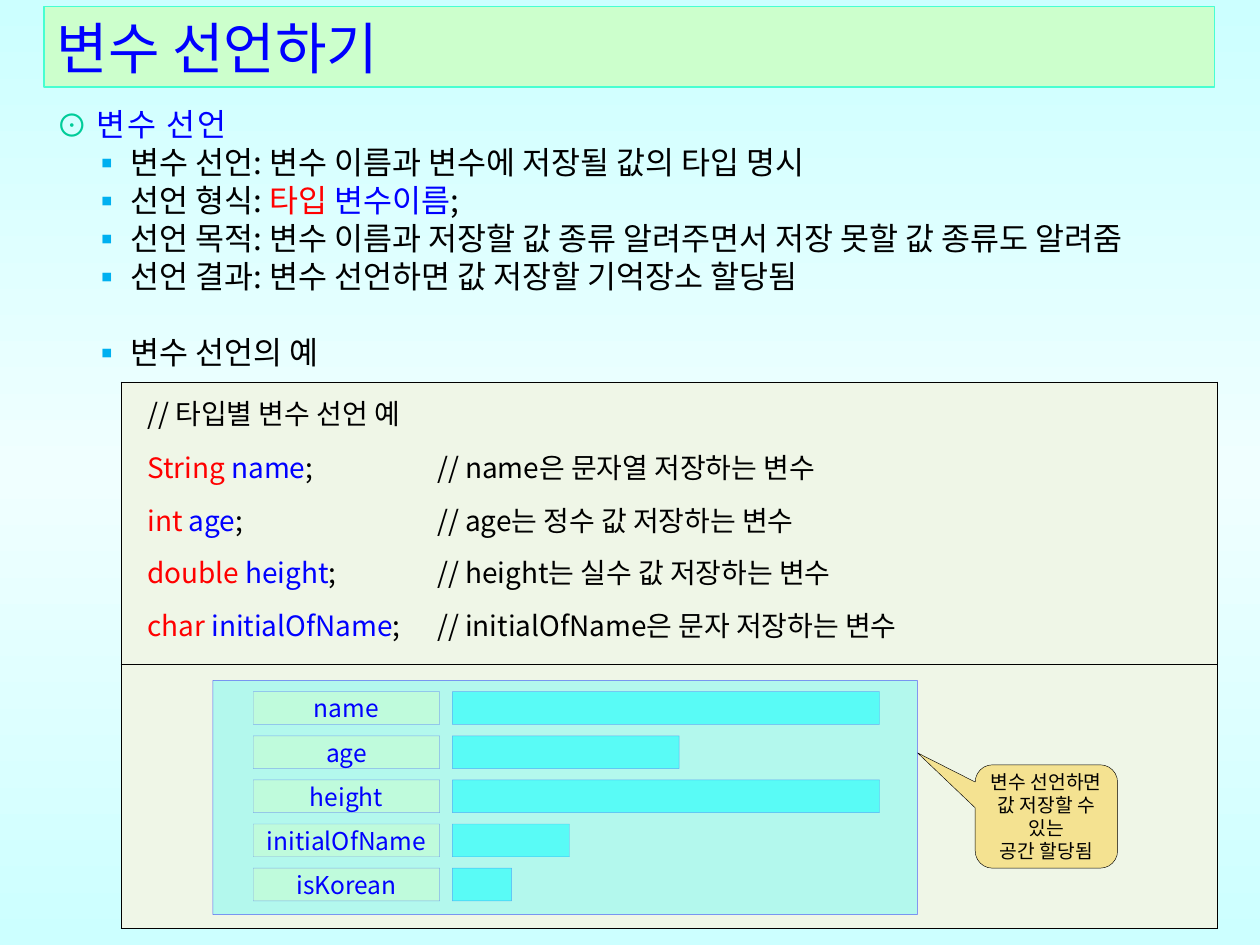
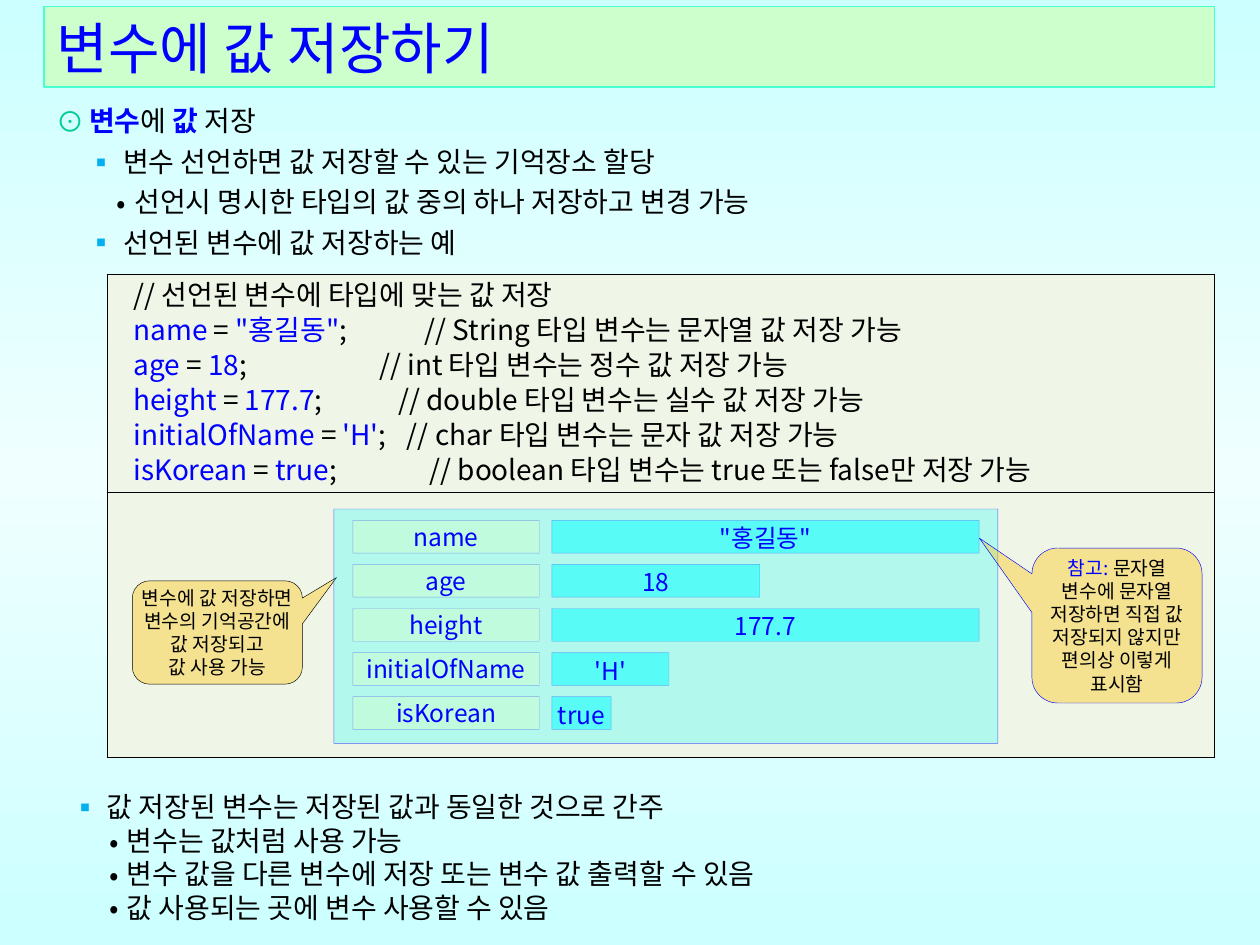
"""Build two lecture slides on declaring variables and storing values in them."""
import dataclasses
import typing

import lxml.etree
import pptx
import pptx.dml.color
import pptx.enum.shapes
import pptx.enum.text
import pptx.oxml.ns
import pptx.util

Inches = pptx.util.Inches
Pt = pptx.util.Pt
RGB = pptx.dml.color.RGBColor.from_string
qn = pptx.oxml.ns.qn
SHAPE = pptx.enum.shapes.MSO_SHAPE
ALIGN = pptx.enum.text.PP_ALIGN
ANCHOR = pptx.enum.text.MSO_ANCHOR


@dataclasses.dataclass(frozen=True)
class Theme:
    """Colours, font and type sizes of the deck."""
    font: str = "Noto Sans CJK KR"
    ink: str = "000000"
    blue: str = "0000FF"
    red: str = "FF0000"
    ring: str = "00CC99"
    square: str = "00B0F0"
    band: str = "CCFFCC"
    band_line: str = "47FFD1"
    sky: str = "CCFFFF"
    sky_mid: str = "F0FFFF"
    paper: str = "EFF6E7"
    memory: str = "00FFFF"
    note: str = "FFC000"
    title: float = 32
    lead: float = 18
    body: float = 16
    label: float = 14
    small: float = 11


T = Theme()


class Run(typing.NamedTuple):
    """A stretch of text in one colour."""
    text: str
    color: str = T.ink
    bold: bool = False
    spacing: int = 0


class Bullet(typing.NamedTuple):
    """A bullet sign, where it starts and where its text starts, in inches."""
    char: str
    color: str
    start: float
    text: float


@dataclasses.dataclass
class Para:
    """A paragraph with its optional bullet, tab stop and space above."""
    runs: typing.List[Run]
    bullet: typing.Optional[Bullet] = None
    tab: float = 0
    before: float = 0


@dataclasses.dataclass
class Style:
    """The look shared by all paragraphs of one text frame."""
    size: float
    align: typing.Any = ALIGN.LEFT
    leading: typing.Optional[float] = None


class Box(typing.NamedTuple):
    """A place on the slide, in inches."""
    left: float
    top: float
    width: float
    height: float


class Variable(typing.NamedTuple):
    """A variable name with the width and content of its memory cell."""
    name: str
    width: float
    value: str = ""


def plain(text: str, bullet: typing.Optional[Bullet] = None, before: float = 0) -> Para:
    """Return a paragraph in the ink colour."""
    return Para([Run(text)], bullet, before=before)


def sub(parent: typing.Any, tag: str, **attrs: str) -> typing.Any:
    """Append a child element and return it."""
    return lxml.etree.SubElement(parent, qn(tag), attrs)


def write(tf: typing.Any, paras: typing.List[Para], style: Style) -> None:
    """Fill a text frame with formatted paragraphs."""
    for i, para in enumerate(paras):
        p = tf.paragraphs[0] if i == 0 else tf.add_paragraph()
        p.alignment = style.align
        if style.leading:
            p.line_spacing = Pt(style.leading)
        if para.before:
            p.space_before = Pt(para.before)
        pPr = p._p.get_or_add_pPr()
        if para.bullet:
            b = para.bullet
            pPr.set("marL", str(Inches(b.text)))
            pPr.set("indent", str(Inches(b.start - b.text)))
            sub(sub(pPr, "a:buClr"), "a:srgbClr", val=b.color)
            sub(pPr, "a:buFont", typeface=T.font)
            sub(pPr, "a:buChar", char=b.char)
        if para.tab:
            sub(sub(pPr, "a:tabLst"), "a:tab", pos=str(Inches(para.tab)), algn="l")
        p.font.size = Pt(style.size)
        p.font.name = T.font
        sub(pPr.find(qn("a:defRPr")), "a:ea", typeface=T.font)
        for run in para.runs:
            r = p.add_run()
            r.text = run.text
            r.font.color.rgb = RGB(run.color)
            if run.bold:
                r.font.bold = True
            if run.spacing:
                r._r.get_or_add_rPr().set("spc", str(run.spacing))


def set_alpha(shape: typing.Any, where: str, percent: int) -> None:
    """Make the fill or the line of a shape partly transparent."""
    for clr in shape._element.spPr.xpath(where + "a:solidFill/a:srgbClr"):
        sub(clr, "a:alpha", val=str(percent * 1000))


def add_block(s: typing.Any, kind: typing.Any, box: Box, fill: str, opacity: int,
              line: str, line_opacity: int = 100) -> typing.Any:
    """Add a translucent shape with a hairline outline and no text margins."""
    sp = s.shapes.add_shape(kind, *map(Inches, box))
    sp.shadow.inherit = False
    sp.fill.solid()
    sp.fill.fore_color.rgb = RGB(fill)
    sp.line.color.rgb = RGB(line)
    sp.line.width = Pt(0.25)
    set_alpha(sp, "./", opacity)
    if line_opacity < 100:
        set_alpha(sp, "./a:ln/", line_opacity)
    tf = sp.text_frame
    tf.margin_left = tf.margin_right = tf.margin_top = tf.margin_bottom = 0
    tf.vertical_anchor = ANCHOR.MIDDLE
    return sp


def add_slide(prs: typing.Any, title: str) -> typing.Any:
    """Add a title-only slide with the green title band."""
    s = prs.slides.add_slide(prs.slide_layouts[5])
    sp = s.shapes.title
    sp.left, sp.top, sp.width, sp.height = map(Inches, (0.35, 0.05, 9.29, 0.64))
    sp.fill.solid()
    sp.fill.fore_color.rgb = RGB(T.band)
    sp.line.color.rgb = RGB(T.band_line)
    sp.line.width = Pt(0.75)
    tf = sp.text_frame
    tf.auto_size = pptx.enum.text.MSO_AUTO_SIZE.NONE
    tf.vertical_anchor = ANCHOR.MIDDLE
    write(tf, [Para([Run(title, T.blue)])], Style(T.title))
    return s


def add_text(s: typing.Any, box: Box, paras: typing.List[Para], style: Style) -> None:
    """Add a wrapping text box."""
    tf = s.shapes.add_textbox(*map(Inches, box)).text_frame
    tf.word_wrap = True
    write(tf, paras, style)


def add_grid(s: typing.Any, box: Box, cols: typing.List[float],
             rows: typing.List[float]) -> typing.Any:
    """Add a paper-coloured table without a built-in style."""
    tbl = s.shapes.add_table(len(rows), len(cols), *map(Inches, box)).table
    tbl.first_row = tbl.horz_banding = False
    style_id = tbl._tbl.tblPr.find(qn("a:tableStyleId"))
    style_id.text = "{2D5ABB26-0587-4C30-8999-92F81FD0307C}"
    for col, width in zip(tbl.columns, cols):
        col.width = Inches(width)
    for row, height in zip(tbl.rows, rows):
        row.height = Inches(height)
    return tbl


def frame_grid(tbl: typing.Any) -> None:
    """Fill the cells, outline the table and rule off its last row."""
    n_rows, n_cols = len(tbl.rows), len(tbl.columns)
    for i in range(n_rows):
        for j in range(n_cols):
            cell = tbl.cell(i, j)
            cell.fill.solid()
            cell.fill.fore_color.rgb = RGB(T.paper)
            last = j + (cell.span_width if cell.is_merge_origin else 1) == n_cols
            sides = {"L": j == 0, "R": last, "T": i in (0, n_rows - 1), "B": i >= n_rows - 2}
            tcPr = cell._tc.get_or_add_tcPr()
            for k, side in enumerate(side for side, on in sides.items() if on):
                ln = sub(tcPr, "a:ln" + side, w=str(Pt(0.28)))
                sub(sub(ln, "a:solidFill"), "a:srgbClr", val=T.ink)
                tcPr.insert(k, ln)


def fill_cell(cell: typing.Any, paras: typing.List[Para], leading: float,
              left: float, anchor: typing.Any, bottom: float = 0.02) -> None:
    """Write code lines into a table cell."""
    cell.margin_left, cell.margin_right = Inches(left), Inches(0.07)
    cell.margin_top, cell.margin_bottom = Inches(0.02), Inches(bottom)
    cell.vertical_anchor = anchor
    write(cell.text_frame, paras, Style(T.body, leading=leading))


def add_memory(s: typing.Any, panel: Box, label_left: float,
               variables: typing.List[Variable]) -> None:
    """Draw the memory panel with one label and one cell per variable."""
    def part(box: Box, fill: str, opacity: int, line_opacity: int, text: str = "") -> typing.Any:
        sp = add_block(s, SHAPE.ROUNDED_RECTANGLE, box, fill, opacity, T.blue, line_opacity)
        sp.adjustments[0] = 0
        if text:
            sp.text_frame.word_wrap = False
            write(sp.text_frame, [Para([Run(text, T.blue)])], Style(T.label, ALIGN.CENTER))
        return sp

    part(panel, T.memory, 25, 60)
    for i, var in enumerate(variables):
        top = panel.top + 0.09 + 0.35 * i
        part(Box(label_left, top, 1.48, 0.26), T.band, 50, 30, var.name)
        cell = part(Box(label_left + 1.58, top, var.width, 0.26), T.memory, 50, 30, var.value)
        cell.text_frame.margin_top = Inches(0.02)


def add_callout(s: typing.Any, box: Box, tip: typing.Tuple[float, float],
                paras: typing.List[Para], line: str = T.ink) -> None:
    """Add a speech balloon whose tip is given relative to its centre."""
    sp = add_block(s, SHAPE.ROUNDED_RECTANGULAR_CALLOUT, box, T.note, 37, line)
    sp.adjustments[0], sp.adjustments[1] = tip
    sp.text_frame.word_wrap = True
    write(sp.text_frame, paras, Style(T.small, ALIGN.CENTER, 13.2))


def paint_background(prs: typing.Any) -> None:
    """Give the slide master its vertical sky gradient."""
    master = prs.slide_master
    fill = master.background.fill
    fill.gradient()
    fill.gradient_angle = 270
    stops = master._element.xpath(".//p:bg//a:gsLst")[0]
    for gs in list(stops):
        stops.remove(gs)
    for pos, color in ((0, T.sky), (50, T.sky_mid), (100, T.sky)):
        sub(sub(stops, "a:gs", pos=str(pos * 1000)), "a:srgbClr", val=color)


def declare_slide(prs: typing.Any) -> None:
    """Build the slide on declaring variables."""
    s = add_slide(prs, "변수 선언하기")
    ring = Bullet("⊙", T.ring, 0, 0.32)
    square = Bullet("▪", T.square, 0.28, 0.59)
    add_text(s, Box(0.35, 0.78, 9.53, 2.2), [
        Para([Run("변수 선언", T.blue, spacing=100)], ring),
        plain("변수 선언: 변수 이름과 변수에 저장될 값의 타입 명시", square),
        Para([Run("선언 형식: "), Run("타입 ", T.red), Run("변수이름", T.blue), Run(";")], square),
        plain("선언 목적: 변수 이름과 저장할 값 종류 알려주면서 저장 못할 값 종류도 알려줌", square),
        plain("선언 결과: 변수 선언하면 값 저장할 기억장소 할당됨", square),
        plain("변수 선언의 예", square, before=21.7),
    ], Style(T.lead, leading=21.7))

    declarations = [("String", "name", "은 문자열"), ("int", "age", "는 정수 값"),
                    ("double", "height", "는 실수 값"), ("char", "initialOfName", "은 문자")]
    code = [Para([Run(kind + " ", T.red), Run(name, T.blue), Run(";")])
            for kind, name, _ in declarations]
    remarks = [plain(f"// {name}{what} 저장하는 변수") for _, name, what in declarations]
    tbl = add_grid(s, Box(0.96, 3.03, 8.7, 4.34), [2.44, 6.26], [0.4, 1.84, 2.1])
    for i in (0, 2):
        tbl.cell(i, 0).merge(tbl.cell(i, 1))
    fill_cell(tbl.cell(0, 0), [plain("// 타입별 변수 선언 예")], 20, 0.21, ANCHOR.BOTTOM, 0)
    fill_cell(tbl.cell(1, 0), code, 29.9, 0.21, ANCHOR.TOP)
    fill_cell(tbl.cell(1, 1), remarks, 29.9, 0.07, ANCHOR.TOP)
    frame_grid(tbl)

    add_callout(s, Box(7.74, 6.07, 1.13, 0.82), (-0.905, -0.616), [
        plain(line) for line in ("변수 선언하면", "값 저장할 수", "있는", "공간 할당됨")])
    add_memory(s, Box(1.69, 5.4, 5.59, 1.86), 2.01, [
        Variable("name", 3.39), Variable("age", 1.8), Variable("height", 3.39),
        Variable("initialOfName", 0.93), Variable("isKorean", 0.47)])


def store_slide(prs: typing.Any) -> None:
    """Build the slide on storing values in variables."""
    s = add_slide(prs, "변수에 값 저장하기")
    ring = Bullet("⊙", T.ring, 0, 0.26)
    square = Bullet("▪", T.square, 0.25, 0.53)
    add_text(s, Box(0.35, 0.72, 9.53, 1.39), [
        Para([Run("변수", T.blue, True), Run("에 "), Run("값", T.blue, True), Run(" 저장")], ring),
        plain("변수 선언하면 값 저장할 수 있는 기억장소 할당", square),
        plain("선언시 명시한 타입의 값 중의 하나 저장하고 변경 가능", Bullet("•", T.ink, 0.48, 0.62)),
        plain("선언된 변수에 값 저장하는 예", square),
    ], Style(T.body, leading=23.1))

    stores = [("name", '"홍길동"', 2.31, "String 타입 변수는 문자열 값"),
              ("age", "18", 1.95, "int 타입 변수는 정수 값"),
              ("height", "177.7", 2.1, "double 타입 변수는 실수 값"),
              ("initialOfName", "'H'", 2.17, "char 타입 변수는 문자 값"),
              ("isKorean", "true", 2.35, "boolean 타입 변수는 true 또는 false만")]
    code = [plain("// 선언된 변수에 타입에 맞는 값 저장")]
    code += [Para([Run(name, T.blue), Run(" = "), Run(value, T.blue),
                   Run(f";\t// {what} 저장 가능")], tab=tab) for name, value, tab, what in stores]
    tbl = add_grid(s, Box(0.85, 2.18, 8.79, 3.83), [8.79], [1.73, 2.1])
    fill_cell(tbl.cell(0, 0), code, 20, 0.21, ANCHOR.MIDDLE)
    frame_grid(tbl)

    add_callout(s, Box(1.05, 4.61, 1.35, 0.82), (0.701, -0.533), [
        plain(line) for line in ("변수에 값 저장하면", "변수의 기억공간에 값 저장되고", "값 사용 가능")])
    widths = (3.39, 1.65, 3.39, 0.93, 0.47)
    add_memory(s, Box(2.65, 4.04, 5.27, 1.86), 2.8, [
        Variable(store[0], width, store[1]) for store, width in zip(stores, widths)])
    add_callout(s, Box(8.19, 4.35, 1.35, 1.23), (-0.809, -0.564), [
        Para([Run("참고: ", T.blue), Run("문자열 변수에 문자열 저장하면 직접 값 저장되지 않지만")]),
        plain("편의상 이렇게 표시함")], T.blue)

    dot = Bullet("•", T.ink, 0.42, 0.56)
    add_text(s, Box(0.35, 6.22, 9.53, 1.16), [
        plain("값 저장된 변수는 저장된 값과 동일한 것으로 간주", Bullet("▪", T.square, 0.12, 0.4)),
        plain("변수는 값처럼 사용 가능", dot),
        plain("변수 값을 다른 변수에 저장 또는 변수 값 출력할 수 있음", dot),
        plain("값 사용되는 곳에 변수 사용할 수 있음", dot),
    ], Style(T.body, leading=19.1))


prs = pptx.Presentation()
prs.slide_width, prs.slide_height = Inches(10), Inches(7.5)
paint_background(prs)
declare_slide(prs)
store_slide(prs)
prs.save("out.pptx")
